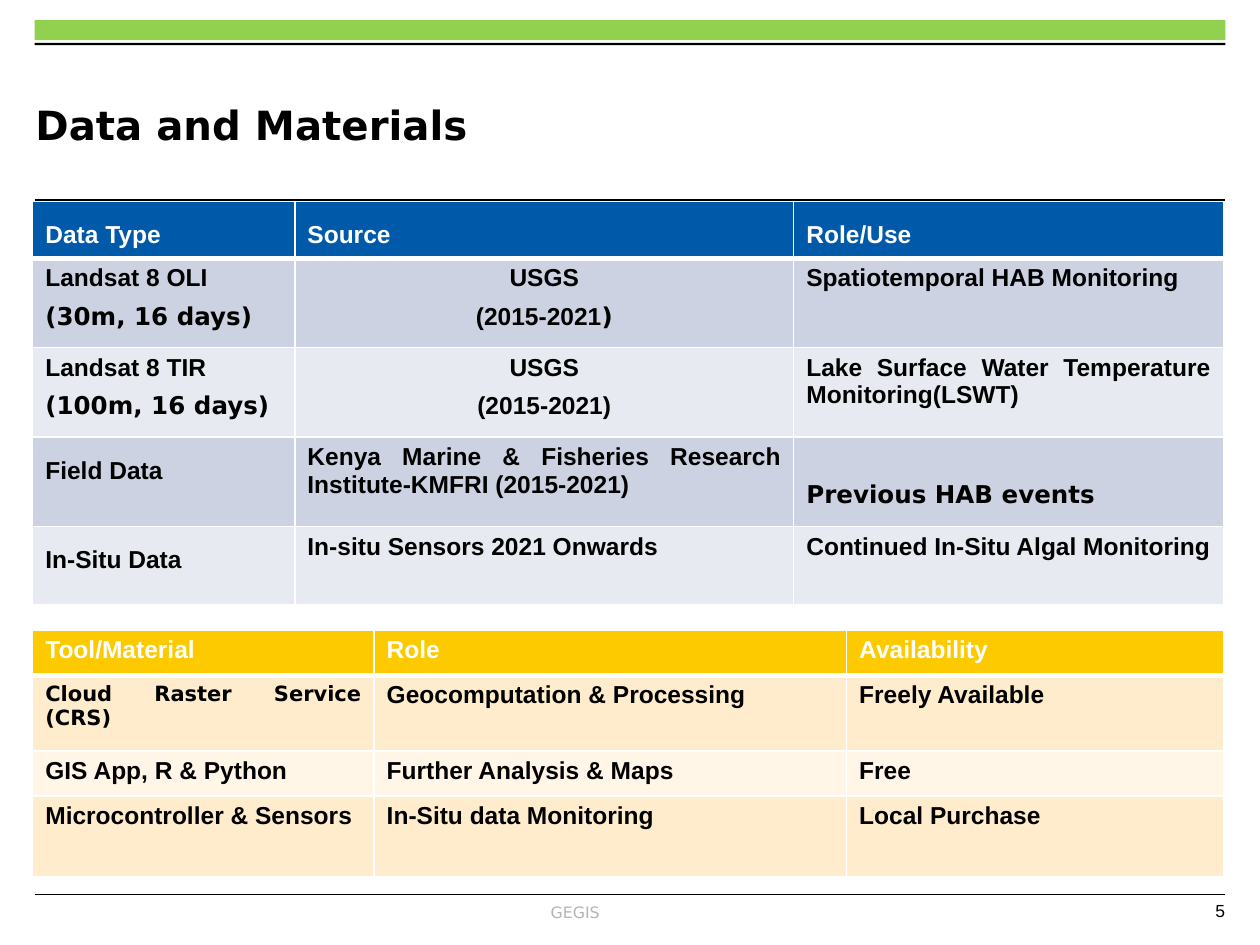
from dataclasses import dataclass

from lxml.etree import SubElement
from pptx import Presentation
from pptx.dml.color import RGBColor
from pptx.enum.shapes import MSO_CONNECTOR, MSO_SHAPE
from pptx.enum.text import MSO_ANCHOR, PP_ALIGN
from pptx.oxml import parse_xml
from pptx.oxml.ns import nsdecls, qn
from pptx.util import Pt

BLACK = RGBColor(0x00, 0x00, 0x00)
WHITE = RGBColor(0xFF, 0xFF, 0xFF)
GREY = RGBColor(0xB5, 0xB5, 0xB5)
GREEN = RGBColor(0x92, 0xD0, 0x50)
BLUE = RGBColor(0x00, 0x5A, 0xA9)
BLUE_BANDS = (RGBColor(0xCC, 0xD2, 0xE2), RGBColor(0xE7, 0xEA, 0xF1))
YELLOW = RGBColor(0xFD, 0xCA, 0x00)
YELLOW_BANDS = (RGBColor(0xFE, 0xEC, 0xCC), RGBColor(0xFF, 0xF6, 0xE7))
ARIAL, DEJAVU = "Arial", "DejaVu Sans"
LEFT, WIDTH = 19.8, 680.4
TABLE_LEFT = 18.72


@dataclass
class Para:
    """One paragraph of a table cell; tail is a closing run in DejaVu Sans."""
    text: str
    font: str = ARIAL
    size: float = 14
    align: PP_ALIGN = PP_ALIGN.JUSTIFY
    spacing: float = 1.0
    tail: str = ""


@dataclass
class Cell:
    """Paragraphs of a cell and its top margin."""
    paras: list[Para]
    top: float = 3.6


@dataclass
class Grid:
    """A banded table with a header row."""
    top: float
    cols: list[float]
    rows: list[float]
    header: RGBColor
    bands: tuple[RGBColor, RGBColor]
    space_after: float
    cells: list[list[Cell]]


def plain(*texts: str, spacing: float = 1.0) -> list[Cell]:
    """Make one single-paragraph cell for each text."""
    return [Cell([Para(t, spacing=spacing)]) for t in texts]


def landsat(name: str, detail: str) -> Cell:
    """Make a data type cell with a detail line below the name."""
    return Cell([Para(name), Para(detail, DEJAVU)])


def usgs(years: str, tail: str = "") -> Cell:
    """Make a centred source cell with its years."""
    return Cell([Para("USGS", align=PP_ALIGN.CENTER),
                 Para(years, align=PP_ALIGN.CENTER, tail=tail)])


DATA = Grid(115.2, [149.8, 285.1, 245.5], [31.7, 51.1, 51.1, 51.1, 44.6], BLUE, BLUE_BANDS, 6, [
    plain("Data Type", "Source", "Role/Use", spacing=1.5),
    [landsat("Landsat 8 OLI", "(30m, 16 days)"), usgs("(2015-2021", ")"),
     *plain("Spatiotemporal HAB Monitoring")],
    [landsat("Landsat 8 TIR", "(100m, 16 days)"), usgs("(2015-2021)"),
     *plain("Lake Surface Water Temperature Monitoring(LSWT)")],
    [*plain("Field Data", spacing=1.5),
     *plain("Kenya Marine & Fisheries Research Institute-KMFRI (2015-2021)"),
     Cell([Para("Previous HAB events", DEJAVU)], top=25)],
    [*plain("In-Situ Data", spacing=1.5),
     *plain("In-situ Sensors 2021 Onwards", "Continued In-Situ Algal Monitoring")],
])
TOOLS = Grid(360, [195.1, 270, 215.3], [25.9, 43.2, 25.9, 46.1], YELLOW, YELLOW_BANDS, 8, [
    plain("Tool/Material", "Role", "Availability"),
    [Cell([Para("Cloud Raster Service (CRS)", DEJAVU, 12)]),
     *plain("Geocomputation & Processing", "Freely Available")],
    plain("GIS App, R & Python", "Further Analysis & Maps", "Free"),
    plain("Microcontroller & Sensors", "In-Situ data Monitoring", "Local Purchase"),
])


def add_bar(s, top: float, height: float, color: RGBColor) -> None:
    """Draw a full-width filled bar."""
    sp = s.shapes.add_shape(MSO_SHAPE.RECTANGLE, Pt(LEFT), Pt(top), Pt(WIDTH), Pt(height))
    sp.shadow.inherit = False
    sp.fill.solid()
    sp.fill.fore_color.rgb = color
    sp.line.fill.background()


def add_rule(s, y: float) -> None:
    """Draw a thin full-width line."""
    line = s.shapes.add_connector(MSO_CONNECTOR.STRAIGHT, Pt(LEFT), Pt(y), Pt(LEFT + WIDTH), Pt(y))
    line.line.color.rgb = BLACK
    line.line.width = Pt(0.6)
    SubElement(line._element.spPr, qn("a:effectLst"))


def add_text(s, text: str, box: tuple[float, float, float, float], font: str, size: float,
             color: RGBColor, align: PP_ALIGN, anchor: MSO_ANCHOR, bold: bool = False) -> None:
    """Add a one-paragraph text box without insets."""
    tf = s.shapes.add_textbox(*map(Pt, box)).text_frame
    tf.word_wrap = True
    tf.margin_left = tf.margin_right = tf.margin_top = tf.margin_bottom = 0
    tf.vertical_anchor = anchor
    p = tf.paragraphs[0]
    p.text, p.alignment = text, align
    p.font.name, p.font.size, p.font.bold = font, Pt(size), bold
    p.font.color.rgb = color


def set_borders(cell, bottom: float) -> None:
    """Give a cell white borders, with its own bottom width."""
    tc_pr = cell._tc.get_or_add_tcPr()
    widths = {"lnL": 1, "lnR": 1, "lnT": 1, "lnB": bottom}
    for i, (tag, width) in enumerate(widths.items()):
        tc_pr.insert(i, parse_xml(
            f'<a:{tag} {nsdecls("a")} w="{Pt(width)}"><a:solidFill>'
            f'<a:srgbClr val="{WHITE}"/></a:solidFill></a:{tag}>'))


def fill_cell(cell, content: Cell, color: RGBColor, space_after: float) -> None:
    """Write the paragraphs of a cell."""
    cell.margin_top = Pt(content.top)
    tf = cell.text_frame
    for i, para in enumerate(content.paras):
        p = tf.add_paragraph() if i else tf.paragraphs[0]
        p.alignment, p.line_spacing = para.align, para.spacing
        p.space_after = Pt(space_after)
        p.font.size, p.font.bold = Pt(para.size), True
        p.font.name, p.font.color.rgb = para.font, color
        p.add_run().text = para.text
        if para.tail:
            r = p.add_run()
            r.text, r.font.name = para.tail, DEJAVU


def add_grid(s, grid: Grid) -> None:
    """Add a banded table."""
    table = s.shapes.add_table(len(grid.rows), len(grid.cols), Pt(TABLE_LEFT), Pt(grid.top),
                               Pt(sum(grid.cols)), Pt(sum(grid.rows))).table
    for col, width in zip(table.columns, grid.cols):
        col.width = Pt(width)
    for i, (row, height) in enumerate(zip(table.rows, grid.rows)):
        row.height = Pt(height)
        for cell, content in zip(row.cells, grid.cells[i]):
            cell.fill.solid()
            cell.fill.fore_color.rgb = grid.bands[(i - 1) % 2] if i else grid.header
            set_borders(cell, 1 if i else 3)
            fill_cell(cell, content, BLACK if i else WHITE, grid.space_after)


prs = Presentation()
prs.slide_width, prs.slide_height = Pt(720), Pt(540)
s = prs.slides.add_slide(prs.slide_layouts[6])

add_bar(s, 11.5, 11.5, GREEN)
add_bar(s, 24.5, 1.4, BLACK)
for y in (114.3, 511.2):
    add_rule(s, y)
add_text(s, "5", (669, 514.1, 31, 17.3), ARIAL, 10, BLACK, PP_ALIGN.RIGHT, MSO_ANCHOR.TOP)
add_text(s, "GEGIS", (31, 512, 595.4, 18), DEJAVU, 9, GREY, PP_ALIGN.CENTER, MSO_ANCHOR.MIDDLE)
add_text(s, "Data and Materials", (20.2, 38.2, 541.4, 66.2), DEJAVU, 23, BLACK,
         PP_ALIGN.LEFT, MSO_ANCHOR.MIDDLE, bold=True)
add_grid(s, TOOLS)
add_grid(s, DATA)

prs.save("out.pptx")
